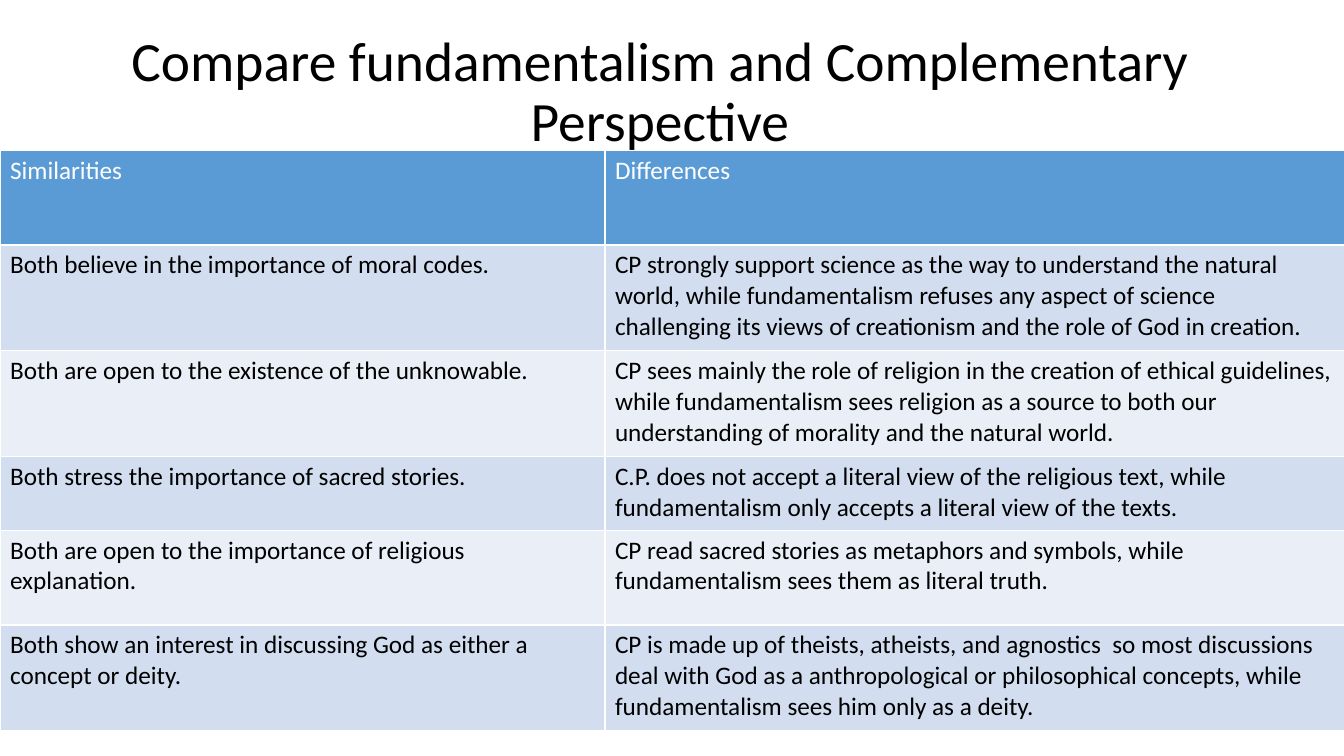
from pptx import Presentation
from pptx.dml.color import RGBColor
from pptx.enum.text import MSO_ANCHOR, MSO_AUTO_SIZE, PP_ALIGN
from pptx.util import Inches, Pt

THEME_BODY_FONT = "+mn-lt"
BLACK = RGBColor(0x00, 0x00, 0x00)
WHITE = RGBColor(0xFF, 0xFF, 0xFF)
HEADER_BLUE = RGBColor(0x5B, 0x9B, 0xD5)
BANDS = (RGBColor(0xD2, 0xDE, 0xEF), RGBColor(0xEA, 0xEF, 0xF7))

TITLE = "Compare fundamentalism and Complementary Perspective"
COLUMN_WIDTHS = (6, 7.34)
ROW_HEIGHTS = (0.94, 1.05, 1.05, 0.73, 0.94, 1.05)
COMPARISON = (
    ("Similarities", "Differences"),
    ("Both believe in the importance of moral codes.",
     "CP strongly support science as the way to understand the natural world, "
     "while fundamentalism refuses any aspect of science challenging its views "
     "of creationism and the role of God in creation."),
    ("Both are open to the existence of the unknowable.",
     "CP sees mainly the role of religion in the creation of ethical guidelines, "
     "while fundamentalism sees religion as a source to both our understanding "
     "of morality and the natural world."),
    ("Both stress the importance of sacred stories.",
     "C.P. does not accept a literal view of the religious text, "
     "while fundamentalism only accepts a literal view of the texts."),
    ("Both are open to the importance of religious explanation.",
     "CP read sacred stories as metaphors and symbols, "
     "while fundamentalism sees them as literal truth."),
    ("Both show an interest in discussing God as either a concept or deity.",
     "CP is made up of theists, atheists, and agnostics  so most discussions "
     "deal with God as a anthropological or philosophical concepts, "
     "while fundamentalism sees him only as a deity."),
)


def write(frame, text, size, color):
    """Put one styled run into a text frame and return its paragraph."""
    paragraph = frame.paragraphs[0]
    run = paragraph.add_run()
    run.text = text
    run.font.name = THEME_BODY_FONT
    run.font.size = Pt(size)
    run.font.bold = False
    run.font.color.rgb = color
    return paragraph


def add_title(slide, text):
    """Add the centred slide title."""
    box = slide.shapes.add_textbox(0, Inches(0.3), Inches(13.09), Inches(1.25))
    frame = box.text_frame
    frame.word_wrap = True
    frame.auto_size = MSO_AUTO_SIZE.NONE
    frame.vertical_anchor = MSO_ANCHOR.MIDDLE
    paragraph = write(frame, text, 39.6, BLACK)
    paragraph.alignment = PP_ALIGN.CENTER
    paragraph.line_spacing = 0.9


def add_comparison(slide, rows):
    """Add the table with a header row and alternating bands."""
    table = slide.shapes.add_table(
        len(rows), len(COLUMN_WIDTHS), 0, Inches(1.49),
        Inches(sum(COLUMN_WIDTHS)), Inches(sum(ROW_HEIGHTS))).table
    for column, width in zip(table.columns, COLUMN_WIDTHS):
        column.width = Inches(width)
    for index, (row, height, texts) in enumerate(zip(table.rows, ROW_HEIGHTS, rows)):
        row.height = Inches(height)
        is_header = index == 0
        for cell, text in zip(row.cells, texts):
            cell.fill.solid()
            cell.fill.fore_color.rgb = HEADER_BLUE if is_header else BANDS[(index - 1) % 2]
            write(cell.text_frame, text, 18, WHITE if is_header else BLACK)


def main():
    """Build the comparison slide and save it."""
    presentation = Presentation()
    presentation.slide_width = Inches(13.33)
    presentation.slide_height = Inches(7.5)
    slide = presentation.slides.add_slide(presentation.slide_layouts[6])
    add_title(slide, TITLE)
    add_comparison(slide, COMPARISON)
    presentation.save("out.pptx")


main()
